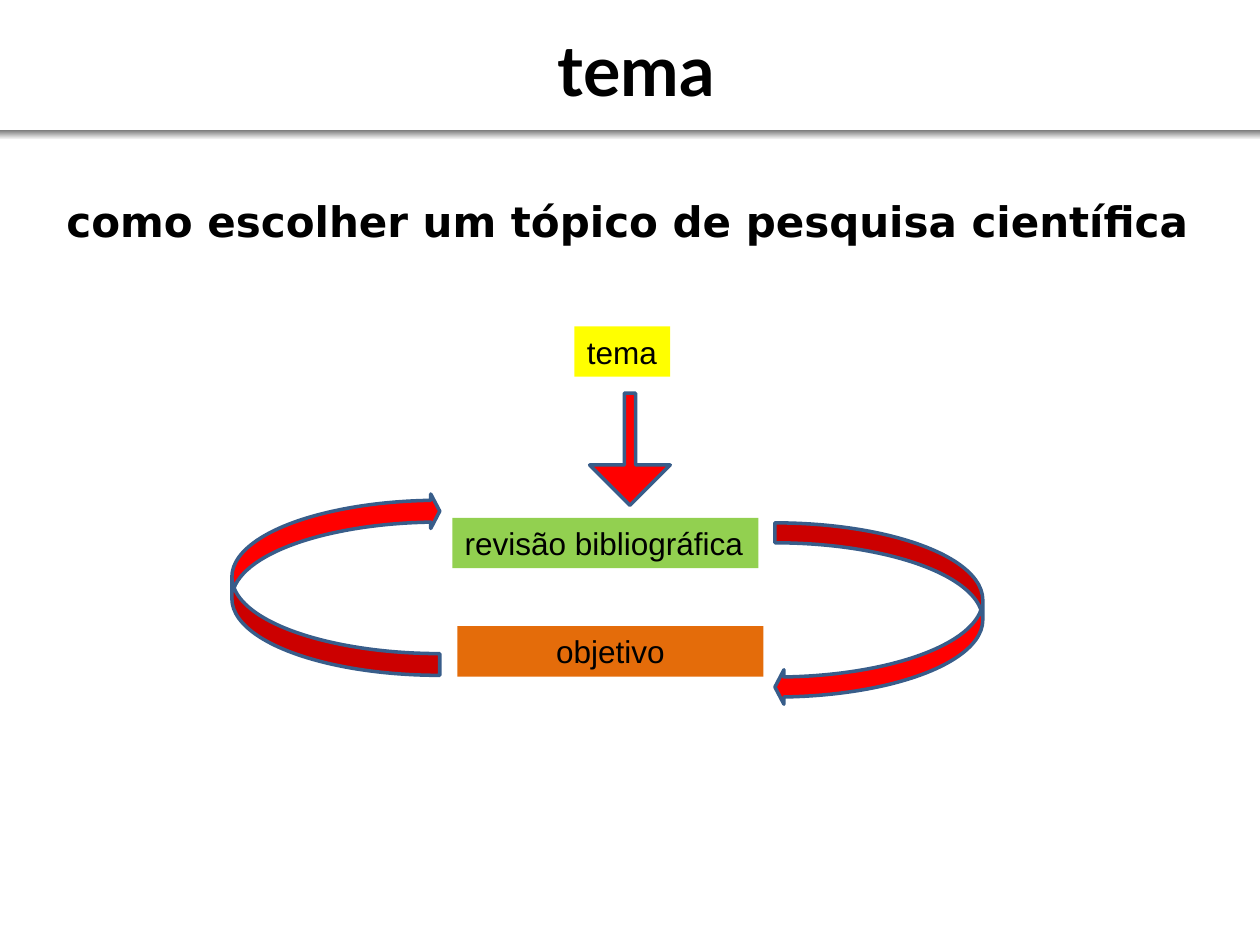
from dataclasses import dataclass

from pptx import Presentation
from pptx.dml.color import RGBColor
from pptx.enum.shapes import MSO_SHAPE
from pptx.enum.text import MSO_ANCHOR, PP_ALIGN
from pptx.util import Inches, Pt

RECTANGLE = MSO_SHAPE.RECTANGLE
DOWN_ARROW = MSO_SHAPE.DOWN_ARROW
LOOP_ARROW = MSO_SHAPE.CURVED_LEFT_ARROW
LEFT, CENTER = PP_ALIGN.LEFT, PP_ALIGN.CENTER
TOP, MIDDLE = MSO_ANCHOR.TOP, MSO_ANCHOR.MIDDLE
BLANK_LAYOUT = 6
CELL = 0.1
COLUMNS, ROWS = 100, 75


@dataclass(frozen=True)
class Theme:
    """Colours, fonts and sizes of the slide."""
    text: str = "000000"
    rule_start: str = "767676"
    rule_end: str = "FFFFFF"
    topic: str = "FFFF00"
    review: str = "92D050"
    goal: str = "E46C0A"
    arrow: str = "FF0000"
    outline: str = "385D8A"
    outline_width: float = 2
    title_font: tuple = ("Lato", 40, True)
    subtitle_font: tuple = ("DejaVu Sans", 24, True)
    label_font: tuple = ("Arial", 18, False)


THEME = Theme()


@dataclass(frozen=True)
class Box:
    """An area measured in grid columns and rows."""
    column: float
    row: float
    columns: float
    rows: float

    def inside(self, column, row, columns, rows):
        """Return an area offset from this one's top left corner."""
        return Box(self.column + column, self.row + row, columns, rows)

    def lengths(self):
        """Return left, top, width and height as lengths."""
        return [Inches(cells * CELL) for cells in (self.column, self.row, self.columns, self.rows)]


def write_text(shape, text, font_style, alignment, anchor):
    """Put one formatted line of text into a shape."""
    frame = shape.text_frame
    frame.text = text
    frame.word_wrap = True
    frame.vertical_anchor = anchor
    paragraph = frame.paragraphs[0]
    paragraph.alignment = alignment
    font = paragraph.runs[0].font
    font.name, size, font.bold = font_style
    font.size = Pt(size)
    font.color.rgb = RGBColor.from_string(THEME.text)


def add_heading(slide, box, text, font_style):
    """Add a centred heading that fills the box."""
    write_text(slide.shapes.add_textbox(*box.lengths()), text, font_style, CENTER, MIDDLE)


def add_rule(slide, box):
    """Add the fading band below the title."""
    band = slide.shapes.add_shape(RECTANGLE, *box.lengths())
    band.shadow.inherit = False
    band.line.fill.background()
    band.fill.gradient()
    band.fill.gradient_angle = 270
    for stop, color in zip(band.fill.gradient_stops, (THEME.rule_start, THEME.rule_end)):
        stop.color.rgb = RGBColor.from_string(color)


def add_filled_shape(slide, box, kind, color):
    """Add a flat shape with a solid fill."""
    shape = slide.shapes.add_shape(kind, *box.lengths())
    shape.shadow.inherit = False
    shape.fill.solid()
    shape.fill.fore_color.rgb = RGBColor.from_string(color)
    return shape


def add_label(slide, box, text, color, alignment):
    """Add a coloured label without an outline."""
    label = add_filled_shape(slide, box, RECTANGLE, color)
    label.line.fill.background()
    write_text(label, text, THEME.label_font, alignment, TOP)


def add_arrow(slide, box, kind, adjustments, rotation=0):
    """Add an outlined block arrow."""
    arrow = add_filled_shape(slide, box, kind, THEME.arrow)
    arrow.line.color.rgb = RGBColor.from_string(THEME.outline)
    arrow.line.width = Pt(THEME.outline_width)
    arrow.rotation = rotation
    for index, value in enumerate(adjustments):
        arrow.adjustments[index] = value


def add_header(slide, box):
    """Add the title and the band below it."""
    add_heading(slide, box.inside(5.5, 2, 90, 6.8), "tema", THEME.title_font)
    add_rule(slide, box.inside(0, 10.3, box.columns, 0.8))


def add_cycle(slide, box):
    """Add the topic, the review and goal labels, and the arrows joining them."""
    add_label(slide, box.inside(27.2, 0, 7.6, 4), "tema", THEME.topic, LEFT)
    add_label(slide, box.inside(17.5, 15.2, 24.3, 4), "revisão bibliográfica", THEME.review, LEFT)
    add_label(slide, box.inside(17.9, 23.8, 24.3, 4), "objetivo", THEME.goal, CENTER)
    add_arrow(slide, box.inside(28.4, 5.3, 6.4, 8.9), DOWN_ARROW, (0.14, 0.5))
    add_arrow(slide, box.inside(43.1, 15.6, 16.5, 14.4), LOOP_ARROW, (0.11, 0.19, 0.05))
    add_arrow(slide, box.inside(0, 13.3, 16.5, 14.4), LOOP_ARROW, (0.12, 0.19, 0.05), 180)


def main():
    """Build and save the slide."""
    presentation = Presentation()
    presentation.slide_width = Inches(COLUMNS * CELL)
    presentation.slide_height = Inches(ROWS * CELL)
    slide = presentation.slides.add_slide(presentation.slide_layouts[BLANK_LAYOUT])
    add_header(slide, Box(0, 0, COLUMNS, 11.1))
    add_heading(slide, Box(3.1, 14.1, 93.4, 6.8),
                "como escolher um tópico de pesquisa científica", THEME.subtitle_font)
    add_cycle(slide, Box(18.4, 25.9, 59.6, 30))
    presentation.save("out.pptx")


if __name__ == "__main__":
    main()
